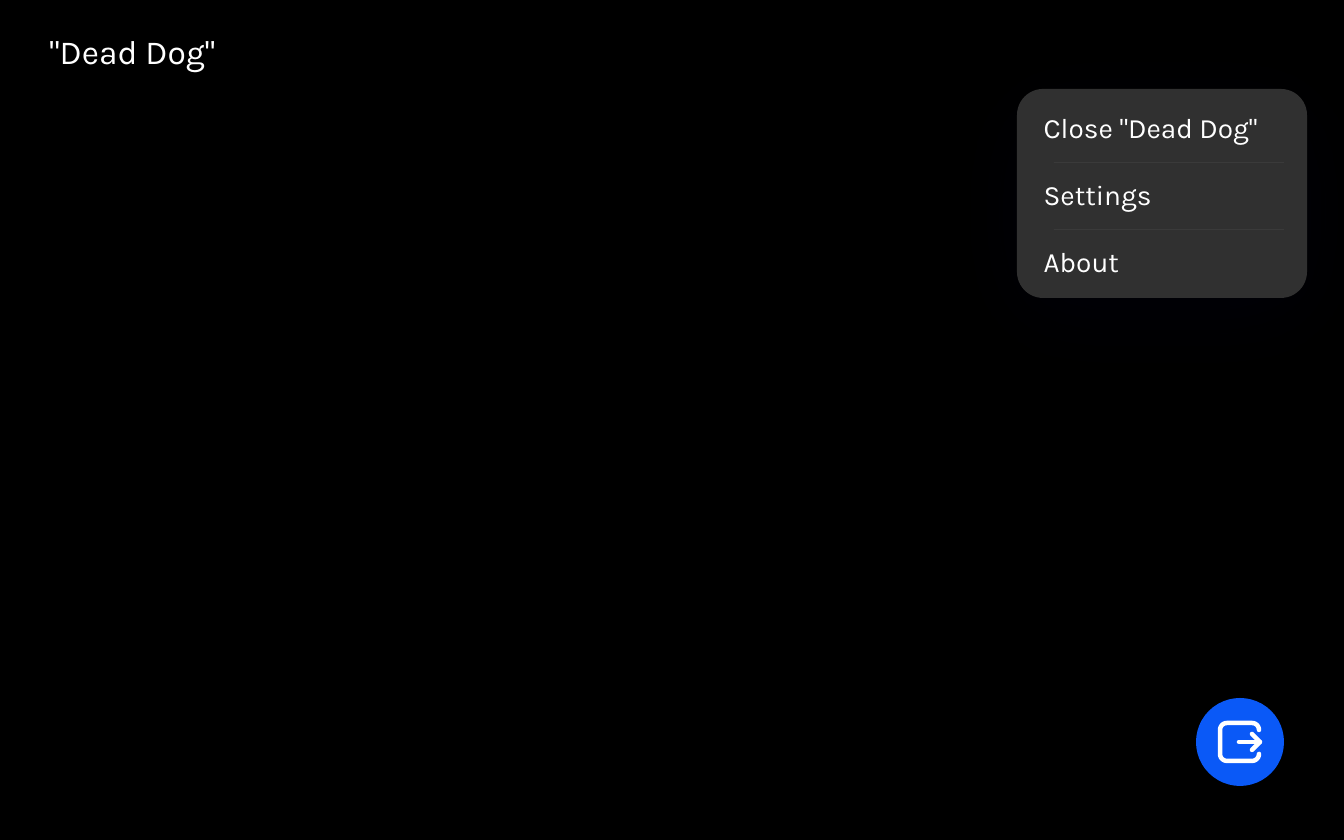
"""Builds a dark app screen with a title, a menu and an exit button."""
from dataclasses import dataclass
from math import cos, radians, sin

from lxml.etree import SubElement
from pptx import Presentation
from pptx.dml.color import RGBColor
from pptx.enum.shapes import MSO_CONNECTOR, MSO_SHAPE
from pptx.enum.text import MSO_ANCHOR, PP_ALIGN
from pptx.oxml.ns import qn
from pptx.util import Emu, Pt

SCALE = 914400 / 134.4
HUES = {"back": "000000", "menu": "303030", "text": "FFFFFF",
        "blue": "0A59F7", "shade": "00001E"}
FONT = "Karla"
STEP = 67
ITEMS = ['Close "Dead Dog"', "Settings", "About"]


@dataclass(frozen=True)
class Box:
    left: int
    top: int
    width: int
    height: int

    def edges(self) -> tuple:
        return tuple(px(v) for v in (self.left, self.top, self.width, self.height))


def px(size: float) -> Emu:
    return Emu(round(size * SCALE))


def hue(name: str) -> RGBColor:
    return RGBColor.from_string(HUES[name])


def draw(slide, kind, box: Box, name: str, round_by: float = 0):
    shape = slide.shapes.add_shape(kind, *box.edges())
    shape.shadow.inherit = False
    shape.fill.solid()
    shape.fill.fore_color.rgb = hue(name)
    shape.line.fill.background()
    if round_by:
        shape.adjustments[0] = round_by
    return shape


def write(frame, words: str, size: int) -> None:
    para = frame.paragraphs[0]
    para.alignment = PP_ALIGN.LEFT
    run = para.add_run()
    run.text = words
    run.font.name = FONT
    run.font.size = Pt(size)
    run.font.color.rgb = hue("text")


def fade(color, amount: int) -> None:
    SubElement(color, qn("a:alpha"), val=str(amount * 1000))


def shade(shape) -> None:
    effects = shape._element.spPr.find(qn("a:effectLst"))
    outer = SubElement(effects, qn("a:outerShdw"), blurRad=str(Pt(50)),
                       dist=str(Pt(10)), dir="5400000", rotWithShape="0")
    fade(SubElement(outer, qn("a:srgbClr"), val=HUES["shade"]), 30)


def stroke(shape) -> None:
    shape.line.color.rgb = hue("text")
    shape.line.width = Pt(2.4)
    line = shape.line._get_or_add_ln()
    line.set("cap", "rnd")
    SubElement(line, qn("a:round"))


def trace(slide, points: list) -> None:
    spots = [(px(x), px(y)) for x, y in points]
    pen = slide.shapes.build_freeform(*spots[0])
    pen.add_line_segments(spots[1:], close=False)
    shape = pen.convert_to_shape()
    shape.shadow.inherit = False
    shape.fill.background()
    stroke(shape)


def bend(x: int, y: int, start: int, size: int = 7) -> list:
    turns = [radians(start - step) for step in range(0, 91, 15)]
    return [(x + size * cos(t), y + size * sin(t)) for t in turns]


def title(slide) -> None:
    shape = slide.shapes.title
    shape.left, shape.top, shape.width, shape.height = Box(36, 24, 218, 54).edges()
    shape.text_frame.vertical_anchor = MSO_ANCHOR.TOP
    write(shape.text_frame, '"Dead Dog"', 18)


def menu(slide) -> None:
    panel = draw(slide, MSO_SHAPE.ROUNDED_RECTANGLE, Box(1017, 89, 290, 209),
                 "menu", 0.125)
    shade(panel)
    for row, words in enumerate(ITEMS):
        item = draw(slide, MSO_SHAPE.ROUNDED_RECTANGLE,
                    Box(1025, 94 + row * STEP, 277, 66), "menu", 0.28)
        item.text_frame.vertical_anchor = MSO_ANCHOR.MIDDLE
        write(item.text_frame, words, 15)
    for row in range(len(ITEMS) - 1):
        rule = draw(slide, MSO_SHAPE.RECTANGLE,
                    Box(1054, 162 + row * STEP, 230, 1), "text")
        fade(rule._element.spPr.find(qn("a:solidFill"))[0], 5)


def button(slide) -> None:
    draw(slide, MSO_SHAPE.OVAL, Box(1196, 698, 88, 88), "blue")
    trace(slide, bend(1252, 730, 0) + bend(1227, 730, 270)
          + bend(1227, 754, 180) + bend(1252, 754, 90))
    trace(slide, [(1252, 734), (1260, 742), (1252, 750)])
    shaft = slide.shapes.add_connector(
        MSO_CONNECTOR.STRAIGHT, px(1239), px(742), px(1260), px(742))
    stroke(shaft)
    SubElement(shaft._element.spPr, qn("a:effectLst"))


def main() -> None:
    deck = Presentation()
    deck.slide_width, deck.slide_height = px(1344), px(840)
    slide = deck.slides.add_slide(deck.slide_layouts[5])
    slide.background.fill.solid()
    slide.background.fill.fore_color.rgb = hue("back")
    title(slide)
    menu(slide)
    button(slide)
    deck.save("out.pptx")


if __name__ == "__main__":
    main()
